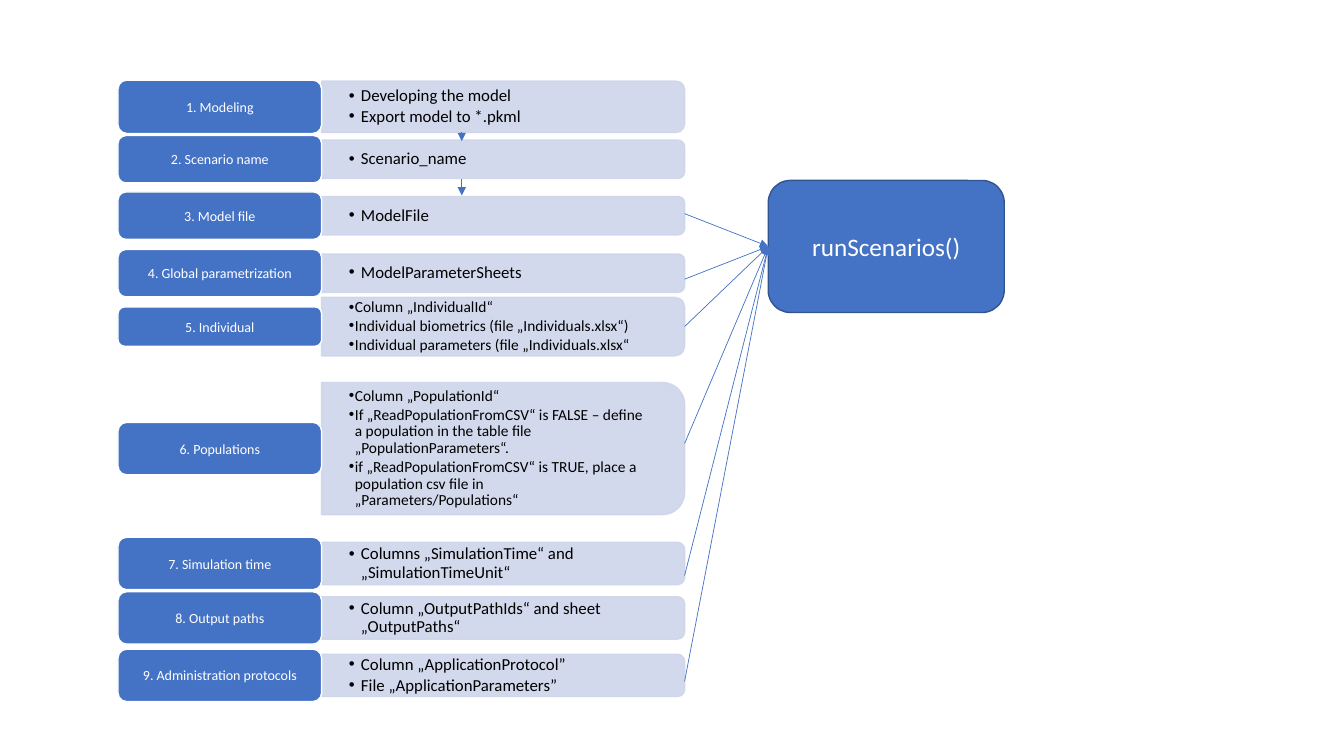
from lxml.etree import SubElement
from pptx import Presentation
from pptx.dml.color import RGBColor
from pptx.enum.shapes import MSO_CONNECTOR as Connector, MSO_SHAPE as Shape
from pptx.enum.text import MSO_ANCHOR as Anchor, PP_ALIGN as Align
from pptx.oxml.ns import qn
from pptx.util import Inches, Pt

COLORS = {
    "blue": "4472C4",
    "navy": "325491",
    "lavender": "CFD5EA",
    "white": "FFFFFF",
    "black": "000000",
}
FONT = "Calibri"

# Columns shared by all rows
LABEL_X, LABEL_W = 1.17, 2.02
PANEL_X, PANEL_W = LABEL_X + LABEL_W, 3.6
PANEL_RIGHT = PANEL_X + PANEL_W

# Label, row centre, label height, panel height, text size, bullet indent, bullets
ROWS = [
    ("1. Modeling", 1.06, 0.53, 0.51, 12, 0.12,
     ["Developing the model", "Export model to *.pkml"]),
    ("2. Scenario name", 1.58, 0.47, 0.38, 12, 0.12, ["Scenario_name"]),
    ("3. Model file", 2.14, 0.47, 0.38, 12, 0.12, ["ModelFile"]),
    ("4. Global parametrization", 2.71, 0.47, 0.38, 12, 0.12,
     ["ModelParameterSheets"]),
    ("5. Individual", 3.24, 0.39, 0.58, 11, 0.06,
     ["Column „IndividualId“",
      "Individual biometrics (file „Individuals.xlsx“)",
      "Individual parameters (file „Individuals.xlsx“"]),
    ("6. Populations", 4.45, 0.52, 1.31, 11, 0.06,
     ["Column „PopulationId“",
      "If „ReadPopulationFromCSV“ is FALSE – define a population in the "
      "table file „PopulationParameters“.",
      "if „ReadPopulationFromCSV“ is TRUE, place a population csv file in "
      "„Parameters/Populations“"]),
    ("7. Simulation time", 5.59, 0.52, 0.42, 12, 0.12,
     ["Columns „SimulationTime“ and „SimulationTimeUnit“"]),
    ("8. Output paths", 6.13, 0.52, 0.42, 12, 0.12,
     ["Column „OutputPathIds“ and sheet „OutputPaths“"]),
    ("9. Administration protocols", 6.70, 0.52, 0.42, 12, 0.12,
     ["Column „ApplicationProtocol”", "File „ApplicationParameters”"]),
]
HUB_ARROW_STARTS = [2.12, 2.77, 3.24, 4.4, 5.71, 6.76]
STEP_ARROW_X = 4.58
STEP_ARROWS = [(1.31, 1.4), (1.78, 1.94)]


def rgb(name):
    return RGBColor.from_string(COLORS[name])


class Diagram:
    """Draws the elements of the workflow on one slide."""

    def __init__(self, slide):
        self.shapes = slide.shapes

    def box(self, kind, x, y, w, h, fill, line):
        s = self.shapes.add_shape(kind, Inches(x), Inches(y), Inches(w), Inches(h))
        s.shadow.inherit = False
        s.fill.solid()
        s.fill.fore_color.rgb = rgb(fill)
        s.line.color.rgb = rgb(line)
        s.line.width = Pt(1)
        return s

    def run(self, p, text, size, color):
        r = p.add_run()
        r.text = text
        r.font.name = FONT
        r.font.size = Pt(size)
        r.font.color.rgb = rgb(color)

    def label(self, text, x, y, w, h, size, line="white"):
        s = self.box(Shape.ROUNDED_RECTANGLE, x, y, w, h, "blue", line)
        tf = s.text_frame
        tf.word_wrap = True
        tf.vertical_anchor = Anchor.MIDDLE
        tf.margin_left = tf.margin_right = Inches(0.06)
        tf.margin_top = tf.margin_bottom = Inches(0.04)
        p = tf.paragraphs[0]
        p.alignment = Align.CENTER
        self.run(p, text, size, "white")
        return s

    def panel(self, center, h):
        # A quarter turn puts the two rounded corners on the right
        s = self.box(Shape.ROUND_2_SAME_RECTANGLE,
                     PANEL_X + (PANEL_W - h) / 2, center - PANEL_W / 2,
                     h, PANEL_W, "lavender", "lavender")
        s.rotation = 90
        for color in s._element.spPr.iter(qn("a:srgbClr")):
            SubElement(color, qn("a:alpha"), val="90000")

    def bullets(self, items, center, h, size, indent):
        # The text area narrows as the panel's corners grow
        s = self.shapes.add_textbox(Inches(PANEL_X), Inches(center - h / 2),
                                    Inches(PANEL_W - 0.05 * h), Inches(h))
        tf = s.text_frame
        tf.word_wrap = True
        tf.vertical_anchor = Anchor.MIDDLE
        tf.margin_left = tf.margin_right = Inches(0.27)
        tf.margin_top = tf.margin_bottom = 0
        for i, item in enumerate(items):
            p = tf.add_paragraph() if i else tf.paragraphs[0]
            p.level = 1
            p.line_spacing = 0.9
            p.space_after = Pt(size * 0.15)
            pPr = p._p.get_or_add_pPr()
            pPr.set("marL", str(Inches(indent)))
            pPr.set("indent", str(-Inches(indent)))
            SubElement(pPr, qn("a:buFont"), typeface="Arial")
            SubElement(pPr, qn("a:buChar"), char="•")
            self.run(p, item, size, "black")

    def arrow(self, x1, y1, x2, y2):
        c = self.shapes.add_connector(Connector.STRAIGHT, Inches(x1), Inches(y1),
                                      Inches(x2), Inches(y2))
        c.line.color.rgb = rgb("blue")
        c.line.width = Pt(0.5)
        SubElement(c.line._get_or_add_ln(), qn("a:tailEnd"), type="triangle")
        SubElement(c._element.spPr, qn("a:effectLst"))
        return c


def main():
    prs = Presentation()
    prs.slide_width, prs.slide_height = Inches(13.33), Inches(7.5)
    d = Diagram(prs.slides.add_slide(prs.slide_layouts[6]))

    # Workflow steps
    for text, center, label_h, panel_h, size, indent, items in ROWS:
        d.panel(center, panel_h)
        d.bullets(items, center, panel_h, size, indent)
        d.label(text, LABEL_X, center - label_h / 2, LABEL_W, label_h, 10)

    # Function that takes the inputs
    hub_x, hub_y, hub_h = 7.62, 1.79, 1.31
    hub = d.label("runScenarios()", hub_x, hub_y, 2.34, hub_h, 18, "navy")

    # Arrows into the function
    for y in HUB_ARROW_STARTS:
        c = d.arrow(PANEL_RIGHT, y, hub_x, hub_y + hub_h / 2)
        c.end_connect(hub, 1)

    # Arrows between the first steps
    for top, bottom in STEP_ARROWS:
        d.arrow(STEP_ARROW_X, top, STEP_ARROW_X, bottom)

    prs.save("out.pptx")


if __name__ == "__main__":
    main()
